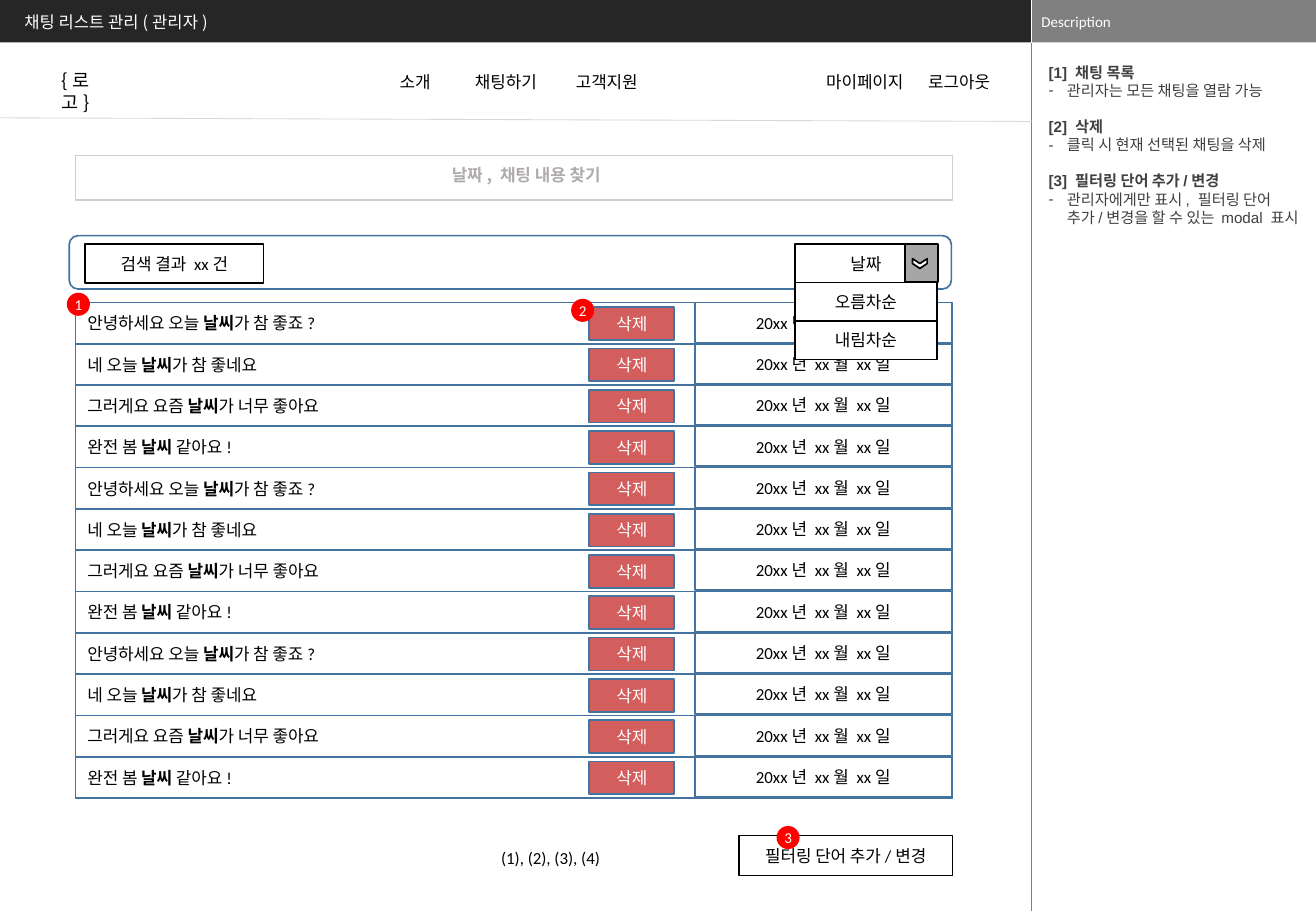
from lxml import etree
from pptx import Presentation
from pptx.dml.color import RGBColor
from pptx.enum.shapes import MSO_CONNECTOR, MSO_SHAPE
from pptx.enum.text import MSO_ANCHOR, MSO_AUTO_SIZE, PP_ALIGN
from pptx.oxml.ns import qn
from pptx.util import Inches, Pt

RECT, ROUND = MSO_SHAPE.RECTANGLE, MSO_SHAPE.ROUNDED_RECTANGLE
OVAL, CHEVRON = MSO_SHAPE.OVAL, MSO_SHAPE.CHEVRON
LEFT, CENTER = PP_ALIGN.LEFT, PP_ALIGN.CENTER
TOP, MIDDLE = MSO_ANCHOR.TOP, MSO_ANCHOR.MIDDLE
STRAIGHT = MSO_CONNECTOR.STRAIGHT

CELL = 0.1
COLUMNS, ROWS = 108.3, 75
ROW = 3.4
CALIBRI, ARIAL, NOTO = "Calibri", "Arial", "Noto Sans CJK KR"
BLUE, BLACK, WHITE, RED = "43739E", "000000", "FFFFFF", "FF0000"

CHATS = [
    ("안녕하세요 오늘 ", "날씨", "가 참 좋죠?"),
    ("네 오늘 ", "날씨", "가 참 좋네요"),
    ("그러게요 요즘 ", "날씨", "가 너무 좋아요"),
    ("완전 봄 ", "날씨 ", "같아요!"),
] * 3
NOTES = [
    ("[1] 채팅 목록", "관리자는 모든 채팅을 열람 가능"),
    ("[2] 삭제", "클릭 시 현재 선택된 채팅을 삭제"),
    ("[3] 필터링 단어 추가/변경",
     "관리자에게만 표시, 필터링 단어 추가/변경을 할 수 있는 modal 표시"),
]
MENU = [("소개", 31.9, 4.5), ("채팅하기", 38.1, 7.1), ("고객지원", 46.4, 7.1),
        ("마이페이지", 67, 8.3), ("로그아웃", 75.4, 7.1)]


def color(value):
    return RGBColor.from_string(value)


def cells(*lengths):
    return [Inches(length * CELL) for length in lengths]


def within(box, x, y, width, height):
    return cells(box[0] + x, box[1] + y, width, height)


def write(holder, text, size=10, font=CALIBRI, ink=BLACK, bold=False, align=CENTER,
          anchor=MIDDLE, wrap=True, inset=(1, 0.5)):
    frame = holder.text_frame
    frame.word_wrap = wrap
    frame.auto_size = MSO_AUTO_SIZE.NONE
    frame.vertical_anchor = anchor
    frame.margin_left = frame.margin_right = Inches(inset[0] * CELL)
    frame.margin_top = frame.margin_bottom = Inches(inset[1] * CELL)
    paragraph = frame.paragraphs[0]
    paragraph.alignment = align
    pieces = [(text, bold)] if isinstance(text, str) else text
    for words, heavy in pieces:
        add_run(paragraph, words, size, font, ink, heavy)


def add_run(paragraph, words, size, font, ink, bold):
    run = paragraph.add_run()
    run.text = words
    run.font.size, run.font.name, run.font.bold = Pt(size), font, bold
    run.font.color.rgb = color(ink)


def draw(slide, place, kind=RECT, fill=None, line=None, text=None, **style):
    shape = slide.shapes.add_shape(kind, *place)
    shape.shadow.inherit = False
    if fill:
        shape.fill.solid()
        shape.fill.fore_color.rgb = color(fill)
    else:
        shape.fill.background()
    if line:
        shape.line.color.rgb = color(line)
        shape.line.width = Pt(1)
    else:
        shape.line.fill.background()
    if text:
        write(shape, text, **style)
    return shape


def label(slide, place, text, **style):
    write(slide.shapes.add_textbox(*place), text, **style)


def rule(slide, start, end, ink, width):
    line = slide.shapes.add_connector(STRAIGHT, *cells(*start, *end))
    line.line.color.rgb = color(ink)
    line.line.width = Pt(width)
    etree.SubElement(line.element.spPr, qn("a:effectLst"))


def badge(slide, box, x, y, number):
    draw(slide, within(box, x, y, 1.9, 1.9), OVAL, RED, text=number, size=8.9,
         ink=WHITE, wrap=False, inset=(0, 0))


def place_on_top(holder, place):
    holder.left, holder.top, holder.width, holder.height = place
    holder.element.getparent().append(holder.element)


def header(slide, box):
    draw(slide, cells(*box), fill="262626")
    title = slide.shapes.title
    place_on_top(title, within(box, 1.2, 0.4, 67, 2.8))
    write(title, "채팅 리스트 관리(관리자)", size=9.8, font=NOTO, ink=WHITE,
          align=LEFT, inset=(0.8, 0.4))


def description(slide, box):
    left, top, width, height = box
    draw(slide, within(box, 0, 0, width, 3.5), fill="808080", text="Description",
         size=8.9, ink=WHITE, align=LEFT, inset=(0.8, 0.4))
    rule(slide, (left, top), (left, top + 3.5), WHITE, 0.25)
    rule(slide, (left, top + 3.5), (left, top + height), "7F7F7F", 0.25)
    notes = slide.placeholders[1]
    place_on_top(notes, within(box, 0.4, 4.7, 23, 14.6))
    write(notes, [], align=LEFT, anchor=TOP)
    frame = notes.text_frame
    for index, (heading, detail) in enumerate(NOTES):
        first = frame.paragraphs[0] if index == 0 else frame.add_paragraph()
        note_line(first, heading, None, 10.5 if index else 0)
        note_line(frame.add_paragraph(), detail, "-", 0)


def note_line(paragraph, words, bullet, gap):
    indent = Inches(0.15) if bullet else 0
    properties = paragraph._p.get_or_add_pPr()
    properties.set("marL", str(indent))
    properties.set("indent", str(-indent))
    if bullet:
        etree.SubElement(properties, qn("a:buChar")).set("char", bullet)
    else:
        etree.SubElement(properties, qn("a:buNone"))
    paragraph.space_before = Pt(gap)
    add_run(paragraph, words, 9, ARIAL, "404040", not bullet)


def navigation(slide, box):
    left, top, width, height = box
    rule(slide, (left, top + height - 0.3), (left + width, top + height), "D9D9D9", 0.5)
    label(slide, within(box, 4.1, 1.7, 5.8, 2.9), "{로고}", size=11, font=NOTO,
          align=LEFT, anchor=TOP)
    for item, x, item_width in MENU:
        label(slide, within(box, x, 1.9, item_width, 2.7), item, font=NOTO,
              align=LEFT, anchor=TOP, wrap=False)


def search(slide, box):
    draw(slide, cells(*box), line="D0CECE")
    draw(slide, within(box, 2.3, 0.3, 69.6, 2.7), fill=WHITE, text="날짜, 채팅 내용 찾기",
         font=NOTO, ink="AFABAB", bold=True, anchor=TOP)


def result_bar(slide, box):
    draw(slide, cells(*box), ROUND, line=BLUE)
    draw(slide, within(box, 1.3, 0.7, 14.7, 3.2), fill=WHITE, line=BLACK,
         text="검색 결과 xx건")


def chat_list(slide, box):
    for index, (before, keyword, after) in enumerate(CHATS):
        y = index * ROW
        message = [(before, False), (keyword, True), (after, False)]
        draw(slide, within(box, 0, y, box[2], ROW), line=BLUE, text=message, align=LEFT)
        draw(slide, within(box, 51, y, 21.1, 3.3), line=BLUE, text="20xx년 xx월 xx일")
        draw(slide, within(box, 42.3, y + 0.4, 7, 2.7), fill="D25E5E", line=BLUE,
             text="삭제", ink=WHITE)
    badge(slide, box, -0.7, -0.8, "1")
    badge(slide, box, 40.8, -0.3, "2")


def sort_menu(slide, box):
    width, height = box[2], box[3] / 3
    for step, option in ((1, "오름차순"), (2, "내림차순"), (0, "날짜")):
        draw(slide, within(box, 0, step * height, width, height), fill=WHITE,
             line=BLACK, text=option)
    draw(slide, within(box, 9.1, 0, 2.7, 3.1), fill="A6A6A6", line=BLACK)
    arrow = draw(slide, within(box, 9.9, 1, 0.8, 1.2), CHEVRON, WHITE, BLACK)
    arrow.rotation = 90


def footer(slide, box):
    label(slide, within(box, 22, 0.2, 34.2, 3.3), "(1), (2), (3), (4)")
    draw(slide, within(box, 54.6, 0, 17.6, 3.3), fill=WHITE, line=BLACK,
         text="필터링 단어 추가/변경")
    badge(slide, box, 57.7, -0.8, "3")


def main():
    deck = Presentation()
    deck.slide_width, deck.slide_height = cells(COLUMNS, ROWS)
    slide = deck.slides.add_slide(deck.slide_layouts[1])
    header(slide, (0, 0, 84.9, 3.5))
    description(slide, (84.9, 0, 23.4, ROWS))
    navigation(slide, (0, 3.5, 84.9, 6.5))
    search(slide, (6.2, 12.8, 72.2, 3.7))
    result_bar(slide, (5.7, 19.4, 72.6, 4.4))
    chat_list(slide, (6.2, 24.9, 72.2, ROW * len(CHATS)))
    sort_menu(slide, (65.4, 20.1, 11.7, 9.5))
    footer(slide, (6.2, 68.8, 72.2, 3.5))
    deck.save("out.pptx")


if __name__ == "__main__":
    main()
